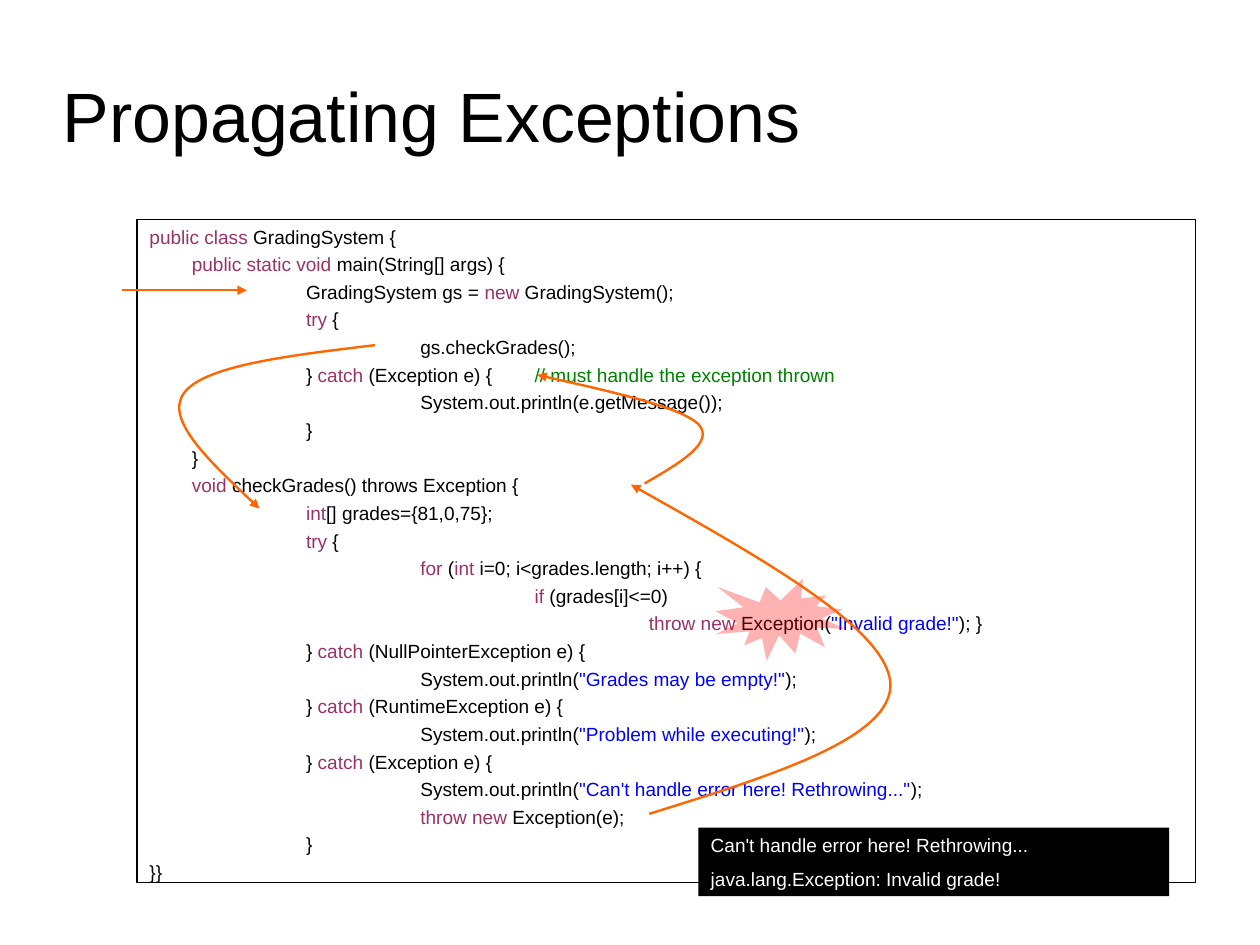
from lxml.etree import SubElement as Sub
from pptx import Presentation
from pptx.dml.color import RGBColor as Rgb
from pptx.enum.shapes import MSO_CONNECTOR as Conn, MSO_SHAPE as Form
from pptx.enum.text import MSO_ANCHOR as Anchor, PP_ALIGN as Align
from pptx.oxml.ns import qn
from pptx.util import Inches, Pt

COLORS = {
    "black": "000000", "white": "FFFFFF", "key": "993366", "note": "008000",
    "quote": "0000FF", "arrow": "FF6600", "burst": "FF0000",
}

# Indent level and text of each code line; backticks enclose coloured parts
CODE = [
    (0, "`public class` GradingSystem {"),
    (1, "`public static void` main(String[] args) {"),
    (2, "GradingSystem gs = `new` GradingSystem();"),
    (2, "`try` {"),
    (3, "gs.checkGrades();"),
    (2, "} `catch` (Exception e) {\t`// must handle the exception thrown`"),
    (3, "System.out.println(e.getMessage());"),
    (2, "}"),
    (1, "}"),
    (1, "`void` checkGrades() throws Exception {"),
    (2, "`int`[] grades={81,0,75};"),
    (2, "`try` {"),
    (3, "`for` (`int` i=0; i<grades.length; i++) {"),
    (4, "`if` (grades[i]<=0)"),
    (5, '`throw new` Exception(`"Invalid grade!"`); }'),
    (2, "} `catch` (NullPointerException e) {"),
    (3, 'System.out.println(`"Grades may be empty!"`);'),
    (2, "} `catch` (RuntimeException e) {"),
    (3, 'System.out.println(`"Problem while executing!"`);'),
    (2, "} `catch` (Exception e) {"),
    (3, 'System.out.println(`"Can\'t handle error here! Rethrowing..."`);'),
    (3, "`throw new` Exception(e);"),
    (2, "}"),
    (0, "}}"),
]
OUTPUT = [
    (0, "Can't handle error here! Rethrowing..."),
    (0, "java.lang.Exception: Invalid grade!"),
]

# Start point, then three points for each curve part
CURVES = [
    [(5.68, 7.12), (6.74, 6.79), (7.81, 6.46), (7.79, 5.98),
     (7.76, 5.5), (6.64, 4.87), (5.52, 4.24)],
    [(5.64, 4.23), (5.95, 4.05), (6.26, 3.87), (6.11, 3.71),
     (5.95, 3.56), (5.32, 3.42), (4.7, 3.28)],
    [(3.28, 3.02), (2.53, 3.11), (1.78, 3.2), (1.61, 3.44),
     (1.44, 3.67), (1.86, 4.06), (2.27, 4.45)],
]


def color(name):
    return Rgb.from_string(COLORS[name])


def write(para, text, size=12, tint="black", font="Arial"):
    """Add text to a paragraph; parts in backticks get a code colour."""
    marks = {'"': "quote", "/": "note"}
    for num, part in enumerate(text.split("`")):
        if part:
            run = para.add_run()
            run.text = part
            run.font.size, run.font.name = Pt(size), font
            run.font.color.rgb = color(marks.get(part[0], "key") if num % 2 else tint)


class Deck:
    def __init__(self, wide, high):
        self.show = Presentation()
        self.show.slide_width, self.show.slide_height = Inches(wide), Inches(high)
        self.slide = self.show.slides.add_slide(self.show.slide_layouts[5])
        self.shapes = self.slide.shapes

    def title(self, text, *place):
        head = self.shapes.title
        head.left, head.top, head.width, head.height = map(Inches, place)
        frame = head.text_frame
        frame.margin_left = frame.margin_right = frame.margin_bottom = 0
        frame.margin_top = Inches(0.04)
        frame.vertical_anchor = Anchor.MIDDLE
        para = frame.paragraphs[0]
        para.alignment, para.line_spacing = Align.LEFT, 0.93
        write(para, text, size=44)

    def shape(self, form, *place, fill=None, line=None):
        item = self.shapes.add_shape(form, *map(Inches, place))
        item.shadow.inherit = False
        if fill:
            item.fill.solid()
            item.fill.fore_color.rgb = color(fill)
        else:
            item.fill.background()
        if line:
            item.line.color.rgb, item.line.width = color(line), Pt(1)
        else:
            item.line.fill.background()
        return item

    def lines(self, item, rows, gap, tint="black"):
        frame = item.text_frame
        frame.word_wrap, frame.vertical_anchor = True, Anchor.TOP
        for num, (level, text) in enumerate(rows):
            para = frame.add_paragraph() if num else frame.paragraphs[0]
            para.alignment, para.space_before = Align.LEFT, Pt(gap)
            prop = para._p.get_or_add_pPr()
            left = level - 0.62 if level else 0.01
            prop.set("marL", str(Inches(left)))
            prop.set("indent", "0")
            write(para, text, tint=tint)

    def burst(self, *place, fill, alpha):
        item = self.shape(Form.EXPLOSION1, *place, fill=fill)
        tone = item.fill._xPr.find(".//" + qn("a:srgbClr"))
        Sub(tone, qn("a:alpha")).set("val", str(alpha * 1000))

    def point(self, item):
        """Style a line and put an arrowhead at its end."""
        item.line.color.rgb, item.line.width = color("arrow"), Pt(1.5)
        Sub(item.line._get_or_add_ln(), qn("a:tailEnd")).set("type", "triangle")

    def arrow(self, *ends):
        item = self.shapes.add_connector(Conn.STRAIGHT, *map(Inches, ends))
        self.point(item)
        Sub(item._element.spPr, qn("a:effectLst"))

    def curve(self, spots):
        first, *rest = [(Inches(x), Inches(y)) for x, y in spots]
        pen = self.shapes.build_freeform(*first)
        pen.add_line_segments(rest, close=False)
        item = pen.convert_to_shape()
        item.shadow.inherit = False
        item.fill.background()
        self.point(item)
        # Turn each three straight segments into one Bézier part
        steps = list(item._element.iter(qn("a:lnTo")))
        for num in range(0, len(steps), 3):
            bend = Sub(steps[num].getparent(), qn("a:cubicBezTo"))
            for step in steps[num:num + 3]:
                bend.append(step[0])
                step.getparent().remove(step)


def main():
    # A page of 28 by 21 cm
    deck = Deck(28 / 2.54, 21 / 2.54)
    deck.title("Propagating Exceptions", 0.55, 0.33, 9.92, 1.38)

    # Code listing and console output
    code = deck.shape(Form.RECTANGLE, 1.2, 1.92, 9.26, 5.8, line="black")
    deck.lines(code, CODE, 3)
    output = deck.shape(Form.RECTANGLE, 6.11, 7.24, 4.12, 0.6, fill="black")
    deck.lines(output, OUTPUT, 7.5, tint="white")

    # Place of the error and flow of control
    deck.burst(6.26, 5.06, 1.14, 0.72, fill="burst", alpha=30)
    deck.arrow(1.07, 2.54, 2.16, 2.54)
    for spots in CURVES:
        deck.curve(spots)

    deck.show.save("out.pptx")


if __name__ == "__main__":
    main()
